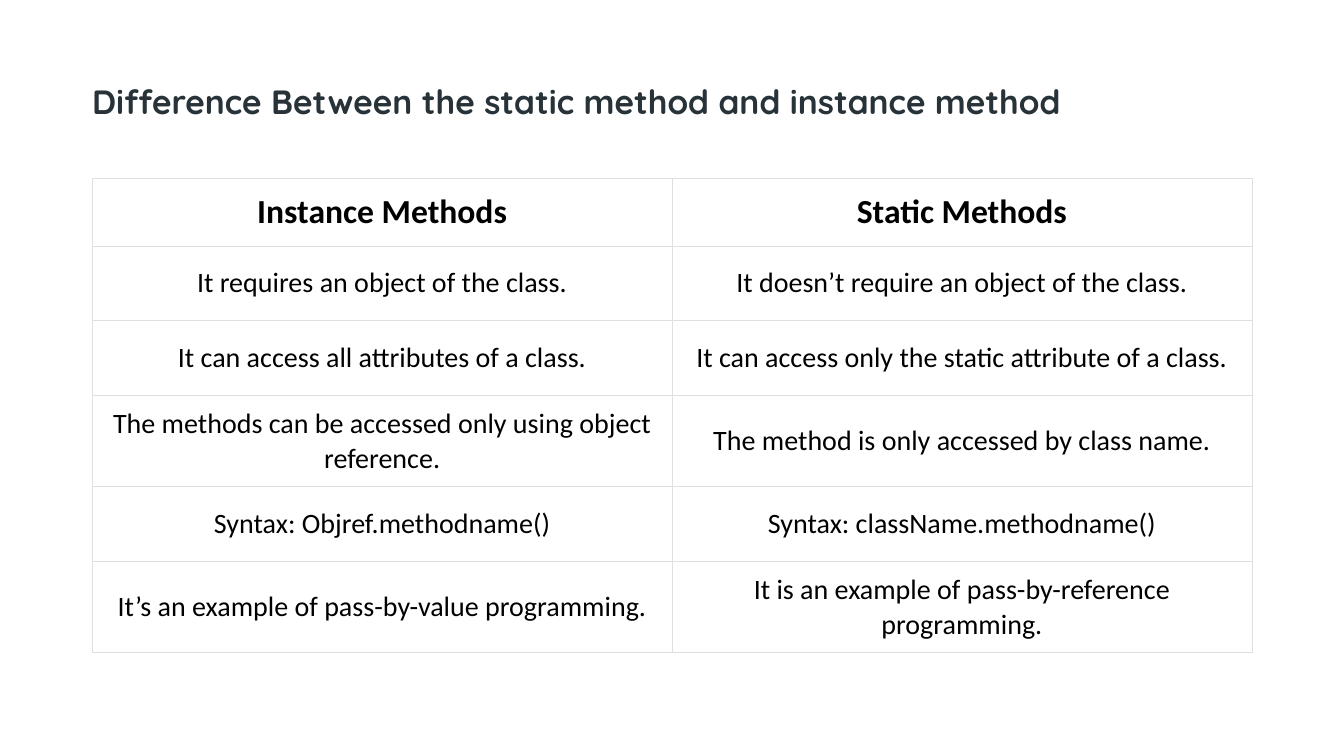
from dataclasses import dataclass

from lxml.etree import SubElement
from pptx import Presentation
from pptx.dml.color import RGBColor
from pptx.enum.text import MSO_ANCHOR, PP_ALIGN
from pptx.oxml.ns import qn
from pptx.slide import Slide
from pptx.table import Table, _Cell
from pptx.text.text import _Paragraph
from pptx.util import Inches, Pt

SLIDE_WIDTH, SLIDE_HEIGHT = 13.33, 7.5


@dataclass(frozen=True)
class TextStyle:
    font: str
    size: float
    color: str
    bold: bool = False


@dataclass(frozen=True)
class Theme:
    title: TextStyle = TextStyle("Quicksand", 24, "273239", True)
    header: TextStyle = TextStyle("Calibri", 24, "000000", True)
    body: TextStyle = TextStyle("Calibri", 20, "000000")
    background: str = "FFFFFF"
    border: str = "DFDFDF"
    border_width: float = 0.18


@dataclass(frozen=True)
class Box:
    """An area in inches."""
    left: float
    top: float
    width: float
    height: float

    def lengths(self) -> tuple[int, int, int, int]:
        return (Inches(self.left), Inches(self.top),
                Inches(self.width), Inches(self.height))


@dataclass(frozen=True)
class Comparison:
    instance: str
    static: str


@dataclass(frozen=True)
class RowStyle:
    text: TextStyle
    height: float
    vertical_margin: float


THEME = Theme()
SIDE_MARGIN = 0.08
HEADER_ROW = RowStyle(THEME.header, 0.67, 0.08)
BODY_ROW = RowStyle(THEME.body, 0.74, 0.12)

TITLE = "Difference Between the static method and instance method"
COMPARISONS = [
    Comparison("Instance Methods", "Static Methods"),
    Comparison("It requires an object of the class.",
               "It doesn’t require an object of the class."),
    Comparison("It can access all attributes of a class.",
               "It can access only the static attribute of a class."),
    Comparison("The methods can be accessed only using object reference.",
               "The method is only accessed by class name."),
    Comparison("Syntax: Objref.methodname()", "Syntax: className.methodname()"),
    Comparison("It’s an example of pass-by-value programming.",
               "It is an example of pass-by-reference programming."),
]

# Both areas share one content width, centred on the slide
CONTENT_WIDTH = 11.5
CONTENT_LEFT = (SLIDE_WIDTH - CONTENT_WIDTH) / 2
TITLE_BOX = Box(CONTENT_LEFT - 0.1, SLIDE_HEIGHT * 0.0533, CONTENT_WIDTH, SLIDE_HEIGHT * 0.16)
TABLE_BOX = Box(CONTENT_LEFT, SLIDE_HEIGHT * 0.236, CONTENT_WIDTH,
                HEADER_ROW.height + BODY_ROW.height * (len(COMPARISONS) - 1))


def style_paragraph(paragraph: _Paragraph, style: TextStyle, alignment: PP_ALIGN) -> None:
    paragraph.alignment = alignment
    for run in paragraph.runs:
        run.font.name = style.font
        run.font.size = Pt(style.size)
        run.font.bold = style.bold
        run.font.color.rgb = RGBColor.from_string(style.color)


def add_title(slide: Slide, box: Box, text: str) -> None:
    text_frame = slide.shapes.add_textbox(*box.lengths()).text_frame
    text_frame.word_wrap = True
    text_frame.vertical_anchor = MSO_ANCHOR.MIDDLE
    text_frame.text = text
    style_paragraph(text_frame.paragraphs[0], THEME.title, PP_ALIGN.LEFT)


def set_borders(cell: _Cell) -> None:
    properties = cell._tc.get_or_add_tcPr()
    for position, side in enumerate(("a:lnL", "a:lnR", "a:lnT", "a:lnB")):
        line = SubElement(properties, qn(side), w=str(Pt(THEME.border_width)))
        fill = SubElement(line, qn("a:solidFill"))
        SubElement(fill, qn("a:srgbClr"), val=THEME.border)
        properties.insert(position, line)  # borders come before the cell fill


def fill_cell(cell: _Cell, text: str, style: RowStyle) -> None:
    cell.text_frame.text = text
    style_paragraph(cell.text_frame.paragraphs[0], style.text, PP_ALIGN.CENTER)
    cell.vertical_anchor = MSO_ANCHOR.MIDDLE
    cell.margin_left = cell.margin_right = Inches(SIDE_MARGIN)
    cell.margin_top = cell.margin_bottom = Inches(style.vertical_margin)
    cell.fill.solid()
    cell.fill.fore_color.rgb = RGBColor.from_string(THEME.background)
    set_borders(cell)


def add_comparison_table(slide: Slide, box: Box, comparisons: list[Comparison]) -> Table:
    table = slide.shapes.add_table(len(comparisons), 2, *box.lengths()).table
    table.horz_banding = False
    for row_index, comparison in enumerate(comparisons):
        style = HEADER_ROW if row_index == 0 else BODY_ROW
        table.rows[row_index].height = Inches(style.height)
        for column_index, text in enumerate((comparison.instance, comparison.static)):
            fill_cell(table.cell(row_index, column_index), text, style)
    return table


def main() -> None:
    presentation = Presentation()
    presentation.slide_width = Inches(SLIDE_WIDTH)
    presentation.slide_height = Inches(SLIDE_HEIGHT)
    slide = presentation.slides.add_slide(presentation.slide_layouts[6])

    # Background
    slide.background.fill.solid()
    slide.background.fill.fore_color.rgb = RGBColor.from_string(THEME.background)

    # Heading and comparison
    add_title(slide, TITLE_BOX, TITLE)
    add_comparison_table(slide, TABLE_BOX, COMPARISONS)

    presentation.save("out.pptx")


if __name__ == "__main__":
    main()
